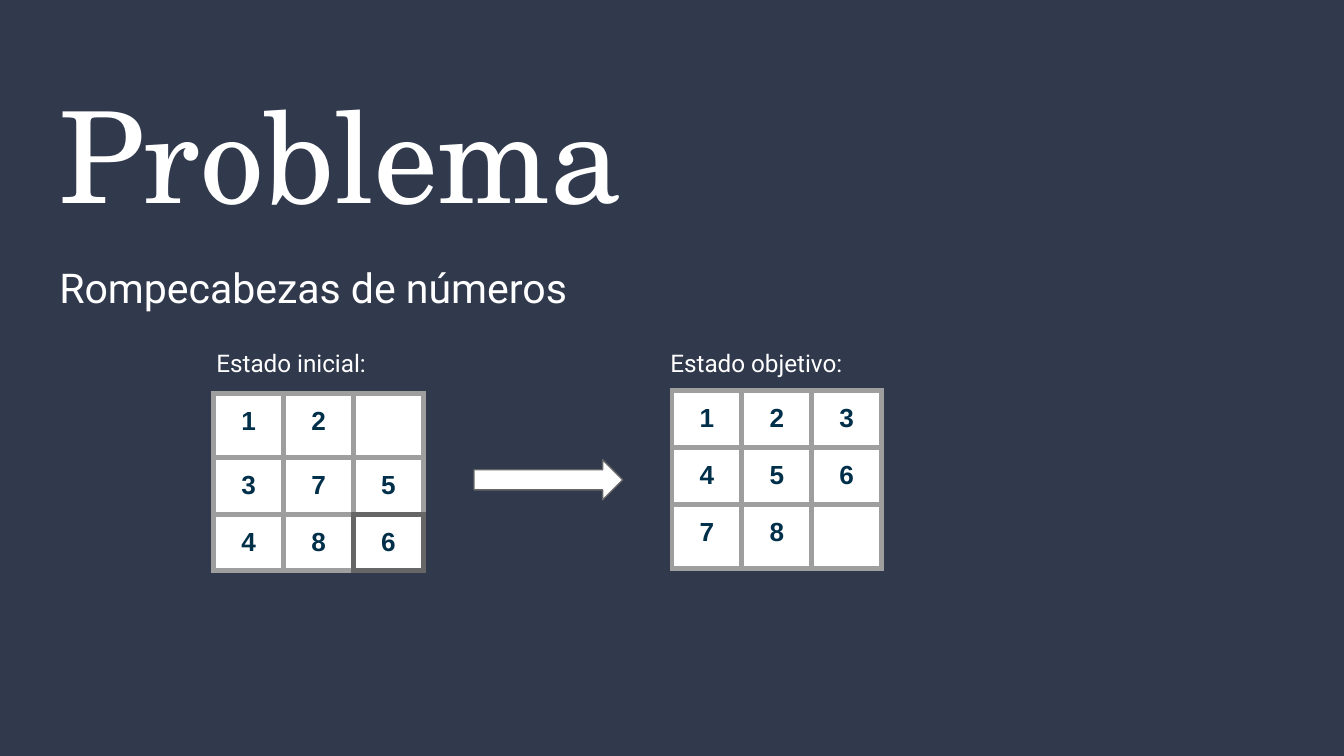
"""Build the slide showing the start and goal states of a number puzzle."""
import dataclasses
import typing

import lxml.etree
import pptx
import pptx.dml.color
import pptx.enum.shapes
import pptx.enum.text
import pptx.oxml.ns
import pptx.util

Cm = pptx.util.Cm
Pt = pptx.util.Pt
Anchor = pptx.enum.text.MSO_ANCHOR
Align = pptx.enum.text.PP_ALIGN


@dataclasses.dataclass(frozen=True)
class Theme:
    background: str = "31394D"
    light: str = "FFFFFF"
    digit: str = "002F4A"
    border: str = "9E9E9E"
    accent: str = "666666"
    title_font: str = "TeX Gyre Schola"
    body_font: str = "Roboto"
    digit_font: str = "Arial"
    title_size: float = 68
    subtitle_size: float = 22
    label_size: float = 13
    digit_size: float = 14
    border_width: float = 3
    arrow_line: float = 0.75
    inset: float = 0.25
    column: float = 1.32
    row: float = 1.07
    blank_row: float = 1.21


class Box(typing.NamedTuple):
    left: float
    top: float
    width: float
    height: float

    def lengths(self) -> list:
        return [Cm(value) for value in self]


class Puzzle(typing.NamedTuple):
    label: str
    label_box: Box
    left: float
    top: float
    rows: tuple[str, ...]
    marked: tuple[int, int] | None = None


THEME = Theme()
PUZZLES = (
    Puzzle("Estado inicial:", Box(3.84, 6.25, 5, 1.07), 4.04, 7.44,
           ("12 ", "375", "486"), marked=(2, 2)),
    Puzzle("Estado objetivo:", Box(12.42, 6.25, 4.9, 1.07), 12.7, 7.39,
           ("123", "456", "78 ")),
)
EDGES = {"lnL": (0, -1), "lnR": (0, 1), "lnT": (-1, 0), "lnB": (1, 0)}


def color(code: str) -> pptx.dml.color.RGBColor:
    return pptx.dml.color.RGBColor.from_string(code)


def style_span(para, font: str, size: float, code: str, bold: bool = False) -> None:
    for span in para.runs:
        span.font.name = font
        span.font.size = Pt(size)
        span.font.bold = bold
        span.font.color.rgb = color(code)


def write_text(shape, text: str, font: str, size: float,
               anchor=Anchor.TOP, spacing: float = 1.15, after: float = 12) -> None:
    frame = shape.text_frame
    frame.text = text
    frame.word_wrap = True
    frame.auto_size = pptx.enum.text.MSO_AUTO_SIZE.NONE
    frame.vertical_anchor = anchor
    frame.margin_left = frame.margin_right = Cm(THEME.inset)
    frame.margin_top = frame.margin_bottom = Cm(THEME.inset)
    para = frame.paragraphs[0]
    para.alignment = Align.LEFT
    para.line_spacing = spacing
    para.space_before = Pt(0)
    para.space_after = Pt(after)
    style_span(para, font, size, THEME.light)


def place(shape, box: Box) -> None:
    shape.left, shape.top, shape.width, shape.height = box.lengths()


def draw_border(cell, edge: str, code: str) -> None:
    qn = pptx.oxml.ns.qn
    properties = cell._tc.get_or_add_tcPr()
    line = lxml.etree.SubElement(properties, qn(f"a:{edge}"), w=str(Pt(THEME.border_width)))
    fill = lxml.etree.SubElement(line, qn("a:solidFill"))
    lxml.etree.SubElement(fill, qn("a:srgbClr"), val=code)


def draw_cell(cell, digit: str, position: tuple[int, int], marked) -> None:
    row, column = position
    for edge, (down, across) in EDGES.items():
        touches = marked in (position, (row + down, column + across))
        draw_border(cell, edge, THEME.accent if touches else THEME.border)
    cell.fill.solid()
    cell.fill.fore_color.rgb = color(THEME.light)
    inset = Cm(THEME.inset if digit.strip() else 0)
    cell.margin_left = cell.margin_right = inset
    cell.margin_top = cell.margin_bottom = inset
    if digit.strip():
        para = cell.text_frame.paragraphs[0]
        para.text = digit
        para.alignment = Align.CENTER
        style_span(para, THEME.digit_font, THEME.digit_size, THEME.digit, bold=True)


def draw_puzzle(page, puzzle: Puzzle) -> None:
    heights = [THEME.blank_row if " " in row else THEME.row for row in puzzle.rows]
    count = len(puzzle.rows[0])
    box = Box(puzzle.left, puzzle.top, count * THEME.column, sum(heights))
    table = page.shapes.add_table(len(heights), count, *box.lengths()).table
    table.first_row = table.horz_banding = False
    for column in table.columns:
        column.width = Cm(THEME.column)
    for row, (digits, height) in enumerate(zip(puzzle.rows, heights)):
        table.rows[row].height = Cm(height)
        for column, digit in enumerate(digits):
            draw_cell(table.cell(row, column), digit, (row, column), puzzle.marked)
    label = page.shapes.add_textbox(*puzzle.label_box.lengths())
    write_text(label, puzzle.label, THEME.body_font, THEME.label_size)


def draw_arrow(page, box: Box) -> None:
    arrow = page.shapes.add_shape(pptx.enum.shapes.MSO_SHAPE.RIGHT_ARROW, *box.lengths())
    arrow.shadow.inherit = False
    arrow.fill.solid()
    arrow.fill.fore_color.rgb = color(THEME.light)
    arrow.line.color.rgb = color(THEME.accent)
    arrow.line.width = Pt(THEME.arrow_line)


def main() -> None:
    deck = pptx.Presentation()
    deck.slide_width, deck.slide_height = Cm(25.4), Cm(14.29)
    page = deck.slides.add_slide(deck.slide_layouts[0])
    page.background.fill.solid()
    page.background.fill.fore_color.rgb = color(THEME.background)

    title, subtitle = page.placeholders
    place(title, Box(0.87, 1.12, 14.8, 3.45))
    write_text(title, "Problema", THEME.title_font, THEME.title_size,
               Anchor.BOTTOM, spacing=1.0, after=0)
    place(subtitle, Box(0.87, 4.57, 10.3, 2.57))
    write_text(subtitle, "Rompecabezas de números", THEME.body_font, THEME.subtitle_size)

    for puzzle in PUZZLES:
        draw_puzzle(page, puzzle)
    draw_arrow(page, Box(8.96, 8.69, 2.81, 0.76))
    deck.save("out.pptx")


if __name__ == "__main__":
    main()
